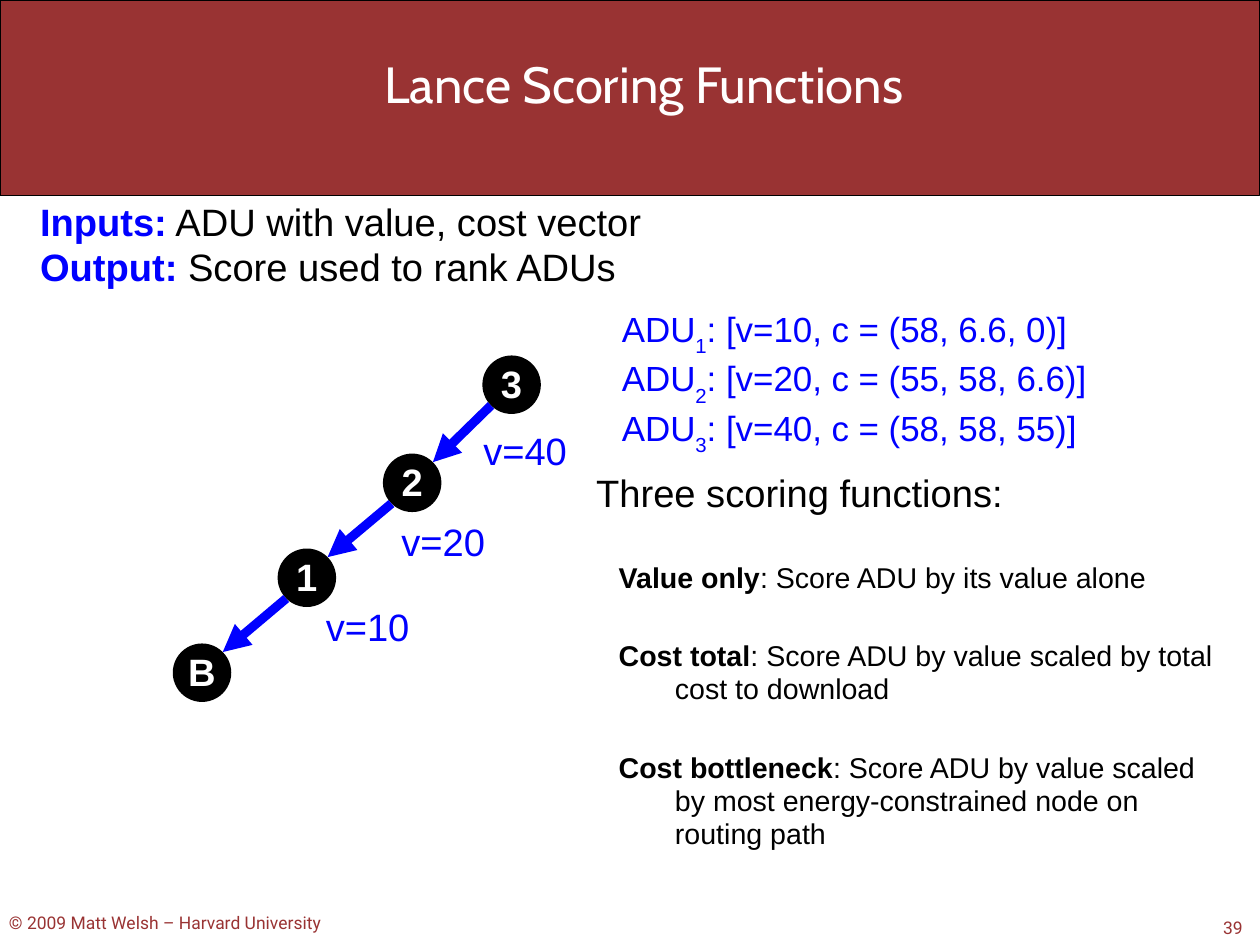
import pptx
import pptx.util
import pptx.dml.color
import pptx.enum.shapes
import pptx.enum.text
import pptx.oxml
import pptx.oxml.ns
from dataclasses import dataclass

Cm, Pt = pptx.util.Cm, pptx.util.Pt
SHAPE = pptx.enum.shapes.MSO_SHAPE
ALIGN = pptx.enum.text.PP_ALIGN
ANCHOR = pptx.enum.text.MSO_ANCHOR


@dataclass(frozen=True)
class Theme:
    band: str = "993333"
    accent: str = "0000FF"
    dark: str = "000000"
    light: str = "FFFFFF"
    body_font: str = "Arial"
    title_font: str = "Cabin"
    footer_font: str = "Roboto"
    title: int = 32
    body: int = 24
    vector: int = 22
    detail: int = 18
    footer: int = 11


T = Theme()

# Content; places and sizes are in centimetres
TITLE = "Lance Scoring Functions"
FOOTER = "© 2009 Matt Welsh – Harvard University"
PAGE = "39"
INTRO = [("Inputs:", " ADU with value, cost vector"),
         ("Output:", " Score used to rank ADUs")]
VECTORS = [("1", ": [v=10, c = (58, 6.6, 0)]"),
           ("2", ": [v=20, c = (55, 58, 6.6)]"),
           ("3", ": [v=40, c = (58, 58, 55)]")]
SCORING_HEAD = "Three scoring functions:"
SCORING = [("Value only", ": Score ADU by its value alone"),
           ("Cost total", ": Score ADU by value scaled by total cost to download"),
           ("Cost bottleneck", ": Score ADU by value scaled by most "
                               "energy-constrained node on routing path")]
NODES = {"B": (3.84, 14.3), "1": (6.17, 12.19), "2": (8.51, 10.08), "3": (10.72, 7.9)}
ROUTE = [("3", "2"), ("2", "1"), ("1", "B")]
VALUES = [("v=10", 7.24, 13.46), ("v=20", 8.92, 11.56), ("v=40", 10.74, 9.55)]
NODE_SIZE = 1.3
RIM = 0.46  # sideways reach of a node's rim on the diagonal


def rgb(code):
    return pptx.dml.color.RGBColor.from_string(code)


def put_text(sp, paras, size=T.body, font=T.body_font, color=T.dark, bold=False,
             align=ALIGN.LEFT, anchor=ANCHOR.TOP, wrap=True, spacing=None):
    """Fill sp; each paragraph is a list of (text, run overrides) pairs."""
    tf = sp.text_frame
    tf.word_wrap, tf.vertical_anchor = wrap, anchor
    tf.auto_size = pptx.enum.text.MSO_AUTO_SIZE.NONE
    tf.margin_left = tf.margin_right = tf.margin_top = tf.margin_bottom = 0
    for i, runs in enumerate(paras):
        p = tf.add_paragraph() if i else tf.paragraphs[0]
        p.alignment = align
        if spacing:
            p.line_spacing = spacing
        for text, style in runs:
            r = p.add_run()
            r.text = text
            r.font.name = font
            r.font.size = Pt(style.get("size", size))
            r.font.bold = style.get("bold", bold)
            r.font.color.rgb = rgb(style.get("color", color))
            if style.get("sub"):
                r.font._element.set("baseline", "-33000")
    return tf


def add_text(s, box, paras, **fmt):
    return put_text(s.shapes.add_textbox(*map(Cm, box)), paras, **fmt)


def add_solid(s, kind, box, fill, line=None):
    sp = s.shapes.add_shape(kind, *map(Cm, box))
    sp.shadow.inherit = False
    sp.fill.solid()
    sp.fill.fore_color.rgb = rgb(fill)
    if line:
        sp.line.color.rgb = rgb(line)
        sp.line.width = Pt(0.75)
    else:
        sp.line.fill.background()
    return sp


def add_hop(s, start, end):
    """Arrow from the lower left rim of one node to the upper right rim of the next."""
    half = NODE_SIZE / 2
    (x1, y1), (x2, y2) = NODES[start], NODES[end]
    hop = s.shapes.add_connector(
        pptx.enum.shapes.MSO_CONNECTOR.STRAIGHT,
        Cm(x1 + half - RIM), Cm(y1 + half + RIM), Cm(x2 + half + RIM), Cm(y2 + half - RIM))
    hop.line.color.rgb = rgb(T.accent)
    hop.line.width = Pt(5.75)
    tail = pptx.oxml.parse_xml(
        f'<a:tailEnd {pptx.oxml.ns.nsdecls("a")} type="triangle"/>')
    hop.line._get_or_add_ln().append(tail)
    hop._element.spPr.append(
        pptx.oxml.parse_xml(f'<a:effectLst {pptx.oxml.ns.nsdecls("a")}/>'))


def add_frame(s):
    band = add_solid(s, SHAPE.RECTANGLE, (0, 0, 28, 4.34), T.band, T.dark)
    s.shapes._spTree.insert(2, band._element)  # behind the title
    title = s.shapes.title
    title.left, title.top, title.width, title.height = map(Cm, (2.36, 1.19, 23.9, 1.32))
    put_text(title, [[(TITLE, {})]], size=T.title, font=T.title_font, color=T.light,
             align=ALIGN.CENTER, anchor=ANCHOR.MIDDLE)
    for text, box in [(FOOTER, (0.2, 20.27, 7.65, 0.48)), (PAGE, (27.18, 20.37, 0.6, 0.48))]:
        add_text(s, box, [[(text, {})]], size=T.footer, font=T.footer_font,
                 color=T.band, wrap=False)


def add_route(s):
    for name, (x, y) in NODES.items():
        sp = add_solid(s, SHAPE.OVAL, (x, y, NODE_SIZE, NODE_SIZE), T.dark)
        put_text(sp, [[(name, {})]], color=T.light, bold=True, align=ALIGN.CENTER,
                 anchor=ANCHOR.MIDDLE, wrap=False, spacing=0.98)
    for start, end in ROUTE:
        add_hop(s, start, end)
    for text, x, y in VALUES:
        add_text(s, (x, y, 2.64, 1), [[(text, {})]], color=T.accent, spacing=0.98)


def add_scoring(s):
    paras = [[(SCORING_HEAD, {"size": T.body})]]
    paras += [[(name, {"bold": True}), (rule, {})] for name, rule in SCORING]
    tf = add_text(s, (12.95, 10.49, 14.27, 8.33), paras, size=T.detail, spacing=0.96)
    for i, p in enumerate(tf.paragraphs):
        left, indent = (2.05, -1.25) if i else (0.8, -0.5)
        pPr = p._p.get_or_add_pPr()
        pPr.set("marL", str(Cm(left)))
        pPr.set("indent", str(Cm(indent)))
        p.space_after = Pt(5.8)
        if i:
            p.space_before = Pt(23.1)


def main():
    prs = pptx.Presentation()
    prs.slide_width, prs.slide_height = Cm(28), Cm(21)
    s = prs.slides.add_slide(prs.slide_layouts.get_by_name("Title Only"))
    add_frame(s)
    add_text(s, (0.89, 4.47, 24.36, 1.98),
             [[(head, {"bold": True, "color": T.accent}), (rest, {})] for head, rest in INTRO],
             spacing=0.98)
    add_route(s)
    for i, (number, vector) in enumerate(VECTORS):
        add_text(s, (13.82, 6.83 + 1.1 * i, 13.6, 1.1),
                 [[("ADU", {}), (number, {"sub": True}), (vector, {})]],
                 size=T.vector, color=T.accent, spacing=0.98)
    add_scoring(s)
    prs.save("out.pptx")


if __name__ == "__main__":
    main()
